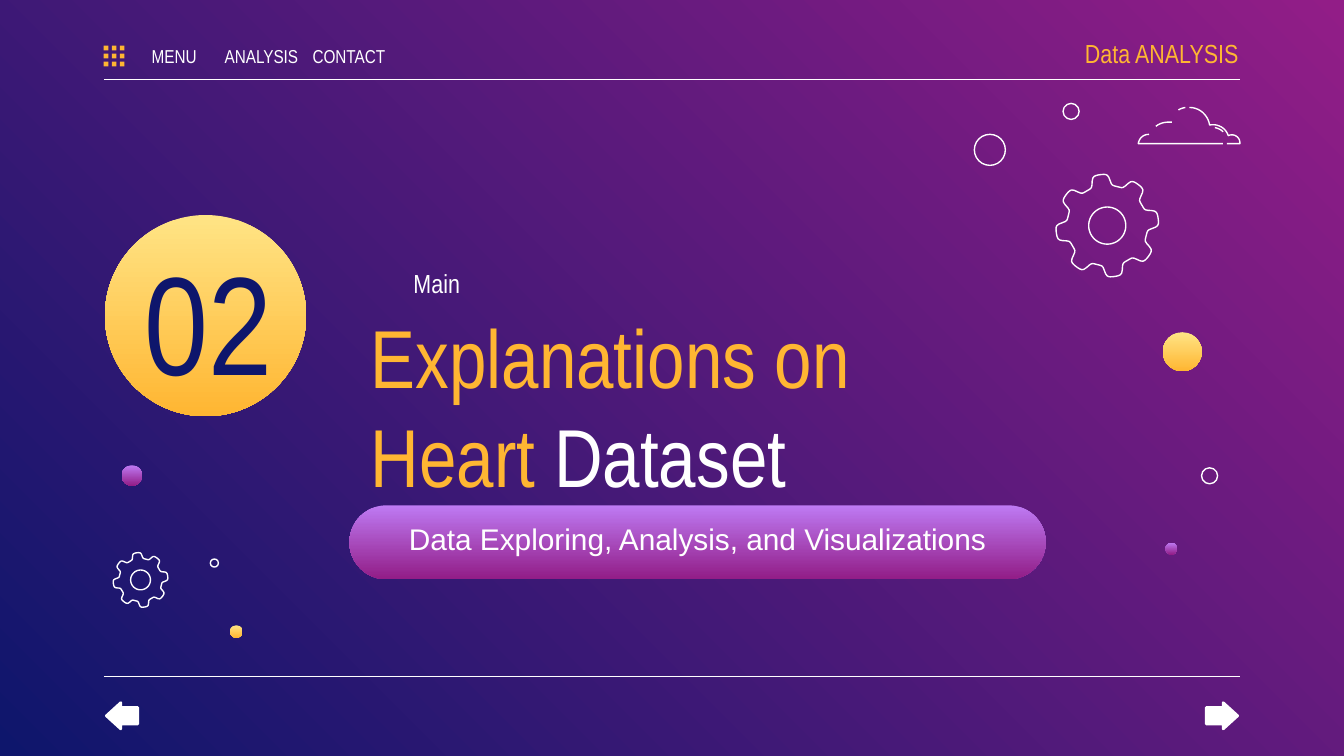
import math

import pptx
import pptx.dml.color
import pptx.enum.shapes
import pptx.enum.text
import pptx.oxml
import pptx.oxml.ns
import pptx.util

Pt = pptx.util.Pt
RGB = pptx.dml.color.RGBColor
KIND = pptx.enum.shapes.MSO_SHAPE
ALIGN = pptx.enum.text.PP_ALIGN
ANCHOR = pptx.enum.text.MSO_ANCHOR

WHITE = RGB(0xFF, 0xFF, 0xFF)
GOLD = RGB(0xFF, 0xB6, 0x32)
CREAM = RGB(0xFF, 0xE4, 0x85)
LILAC = RGB(0xBE, 0x7A, 0xF3)
PLUM = RGB(0x92, 0x1D, 0x87)
NAVY = RGB(0x0E, 0x16, 0x6C)

SUN = (CREAM, GOLD)
BERRY = (LILAC, PLUM)
NARROW = "Arial Narrow"

# Each stroke: a start point, then lines (x, y) or cubic curves (six numbers).
CLOUD = [
    [(27.4, 0), (33.1, 0, 37.4, 4.3, 38.2, 9.4), (42.5, 8.6, 46.8, 10.8, 48.2, 15.1),
     (51.1, 13.7, 54.7, 15.8, 54.4, 19.4), (47.5, 19.4)],
    [(25.2, 0), (25.2, 0, 22.3, 0.5, 21.6, 1.4)],
    [(45.4, 19.4), (0, 19.4), (0, 19.4, 0.7, 14.4, 5.8, 14.4)],
    [(41, 10.8), (41, 10.8, 43.9, 11.3, 45.4, 13)],
    [(18, 7.9), (18, 7.9, 13, 7.2, 9.4, 10.1)],
]


def blend(fill, pair, angle):
    """Two-stop gradient; the angle runs clockwise."""
    fill.gradient()
    fill.gradient_angle = 360 - angle
    for stop, color in zip(fill.gradient_stops, pair):
        stop.color.rgb = color


def outline(shape):
    shape.shadow.inherit = False
    shape.fill.background()
    shape.line.color.rgb = WHITE
    shape.line.width = Pt(0.75)


def solid(shapes, kind, box, color):
    shape = shapes.add_shape(kind, *map(Pt, box))
    shape.shadow.inherit = False
    shape.fill.solid()
    shape.fill.fore_color.rgb = color
    shape.line.fill.background()
    return shape


def glow(slide, kind, box, pair):
    shape = solid(slide.shapes, kind, box, pair[0])
    blend(shape.fill, pair, 90)
    return shape


def ring(slide, x, y, size):
    outline(slide.shapes.add_shape(KIND.OVAL, Pt(x), Pt(y), Pt(size), Pt(size)))


def orb(slide, x, y, size, pair):
    glow(slide, KIND.OVAL, (x, y, size, size), pair)


def rule(slide, x, y, width):
    line = slide.shapes.add_connector(
        pptx.enum.shapes.MSO_CONNECTOR.STRAIGHT, Pt(x), Pt(y), Pt(x + width), Pt(y))
    line.line.color.rgb = WHITE
    line.line.width = Pt(0.75)
    props = line._element.spPr
    props.append(pptx.oxml.parse_xml(
        "<a:effectLst %s/>" % pptx.oxml.ns.nsdecls("a")))


def label(slide, box, lines, size, align=ALIGN.CENTER, font=NARROW,
          sides=(0, 0), anchor=ANCHOR.MIDDLE):
    """Each line is a list of (text, color) runs."""
    frame = slide.shapes.add_textbox(*map(Pt, box)).text_frame
    frame.word_wrap = True
    frame.vertical_anchor = anchor
    frame.margin_left, frame.margin_right = map(Pt, sides)
    frame.margin_top = frame.margin_bottom = 0
    for i, runs in enumerate(lines):
        para = frame.add_paragraph() if i else frame.paragraphs[0]
        para.alignment = align
        for text, color in runs:
            run = para.add_run()
            run.text = text
            run.font.name = font
            run.font.size = Pt(size)
            run.font.color.rgb = color


def flat(stroke, steps=10):
    """Points along a stroke of lines and cubic curves."""
    points = [stroke[0]]
    for part in stroke[1:]:
        if len(part) == 2:
            points.append(part)
            continue
        knots = [points[-1], part[:2], part[2:4], part[4:]]
        for i in range(1, steps + 1):
            t = i / steps
            mix = [math.comb(3, k) * t**k * (1 - t)**(3 - k) for k in range(4)]
            points.append(tuple(
                sum(m * knot[axis] for m, knot in zip(mix, knots)) for axis in (0, 1)))
    return points


def cloud(slide, x, y):
    group = slide.shapes.add_group_shape()
    for stroke in CLOUD:
        points = [(Pt(x + px), Pt(y + py)) for px, py in flat(stroke)]
        path = group.shapes.build_freeform(*points[0])
        path.add_line_segments(points[1:], close=False)
        outline(path.convert_to_shape())


def gear(slide, x, y, size, teeth=8, steps=192):
    half = size / 2

    def loop(reach):
        turns = [2 * math.pi * i / steps for i in range(steps)]
        return [(Pt(x + half + reach(a) * math.cos(a)),
                 Pt(y + half + reach(a) * math.sin(a))) for a in turns]

    def rim(angle):
        wave = math.cos(teeth * (angle - math.radians(262)))
        return half * (0.89 + 0.11 * math.tanh(2.5 * wave))

    edge, hole = loop(rim), loop(lambda angle: half * 0.36)
    path = slide.shapes.build_freeform(*edge[0])
    path.add_line_segments(edge[1:])
    path.move_to(*hole[0])
    path.add_line_segments(hole[1:])
    outline(path.convert_to_shape())


def header(slide, x, y, width, height):
    rule(slide, x, y + height, width)
    grid = slide.shapes.add_group_shape()
    for col in range(3):
        for row in range(3):
            box = (x + 4.3 * col, y + 7.9 + 4.3 * row, 2.5, 2.5)
            solid(grid.shapes, KIND.RECTANGLE, box, GOLD)
    for i, text in enumerate(("MENU", "ANALYSIS", "CONTACT")):
        label(slide, (x + 17.2 + 46.8 * i, y + 5, 41, 16.6), [[(text, WHITE)]], 10)
    label(slide, (x + width - 108.8, y, 108, 23.8),
          [[("Data ANALYSIS", GOLD)]], 14, ALIGN.RIGHT, sides=(7.2, 0))


def footer(slide, x, y, width):
    rule(slide, x, y, width)
    for kind, left in ((KIND.LEFT_ARROW, x + 1.4), (KIND.RIGHT_ARROW, x + width - 18.2)):
        arrow = solid(slide.shapes, kind, (left, y + 14, 16.8, 14), WHITE)
        arrow.adjustments[0] = 0.62
        arrow.adjustments[1] = 0.55
        arrow.line.color.rgb = WHITE
        arrow.line.width = Pt(1.5)


def badge(slide, x, y, size):
    orb(slide, x, y, size, SUN)
    label(slide, (x + 1.4, y + 26, 108, 59.8), [[("02", NAVY)]], 75, sides=(7.2, 7.2))


def heading(slide, x, y, width, height):
    pill = (x, y + height - 39.6, width, 39.6)
    glow(slide, KIND.ROUNDED_RECTANGLE, pill, BERRY).adjustments[0] = 0.5
    label(slide, (x, y + 3.6, 93.6, 34.6), [[("Main", WHITE)]], 14,
          anchor=ANCHOR.TOP, sides=(7.2, 7.2))
    label(slide, (x + 4.3, y + 9, 350, 136.8),
          [[("Explanations on", GOLD)], [("Heart ", GOLD), ("Dataset", WHITE)]],
          44, ALIGN.LEFT, sides=(7.2, 7.2))
    label(slide, (x + 11.5, y + 142.5, 350, 12.2),
          [[("Data Exploring, Analysis, and Visualizations", WHITE)]],
          16, font="Arial", sides=(7.2, 7.2))


def right_decor(slide, x, y):
    for dx, dy, size in ((49.5, 3.4, 8.6), (123.7, 198.6, 8.6), (2, 20, 16.6)):
        ring(slide, x + dx, y + dy, size)
    orb(slide, x + 102.9, y + 126, 20.9, SUN)
    orb(slide, x + 104.3, y + 238.7, 6.5, BERRY)
    cloud(slide, x + 89.8, y + 5.6)
    gear(slide, x + 45.6, y + 41.3, 55.2)


def left_decor(slide, x, y):
    ring(slide, x + 56.7, y + 51.5, 4.3)
    orb(slide, x + 9.2, y + 1.3, 11, BERRY)
    orb(slide, x + 67.3, y + 87, 6.7, SUN)
    gear(slide, x + 4.6, y + 48, 29.4)


def main():
    deck = pptx.Presentation()
    deck.slide_width, deck.slide_height = Pt(720), Pt(405)
    slide = deck.slides.add_slide(deck.slide_layouts[6])
    blend(slide.background.fill, (PLUM, NAVY), 135)
    header(slide, 55.6, 16.6, 608.8, 25.9)
    footer(slide, 55.6, 362.5, 608.8)
    badge(slide, 56.2, 115.2, 107.8)
    heading(slide, 187.2, 139.7, 373, 170.6)
    right_decor(slide, 520, 52)
    left_decor(slide, 56, 248)
    deck.save("out.pptx")


if __name__ == "__main__":
    main()
